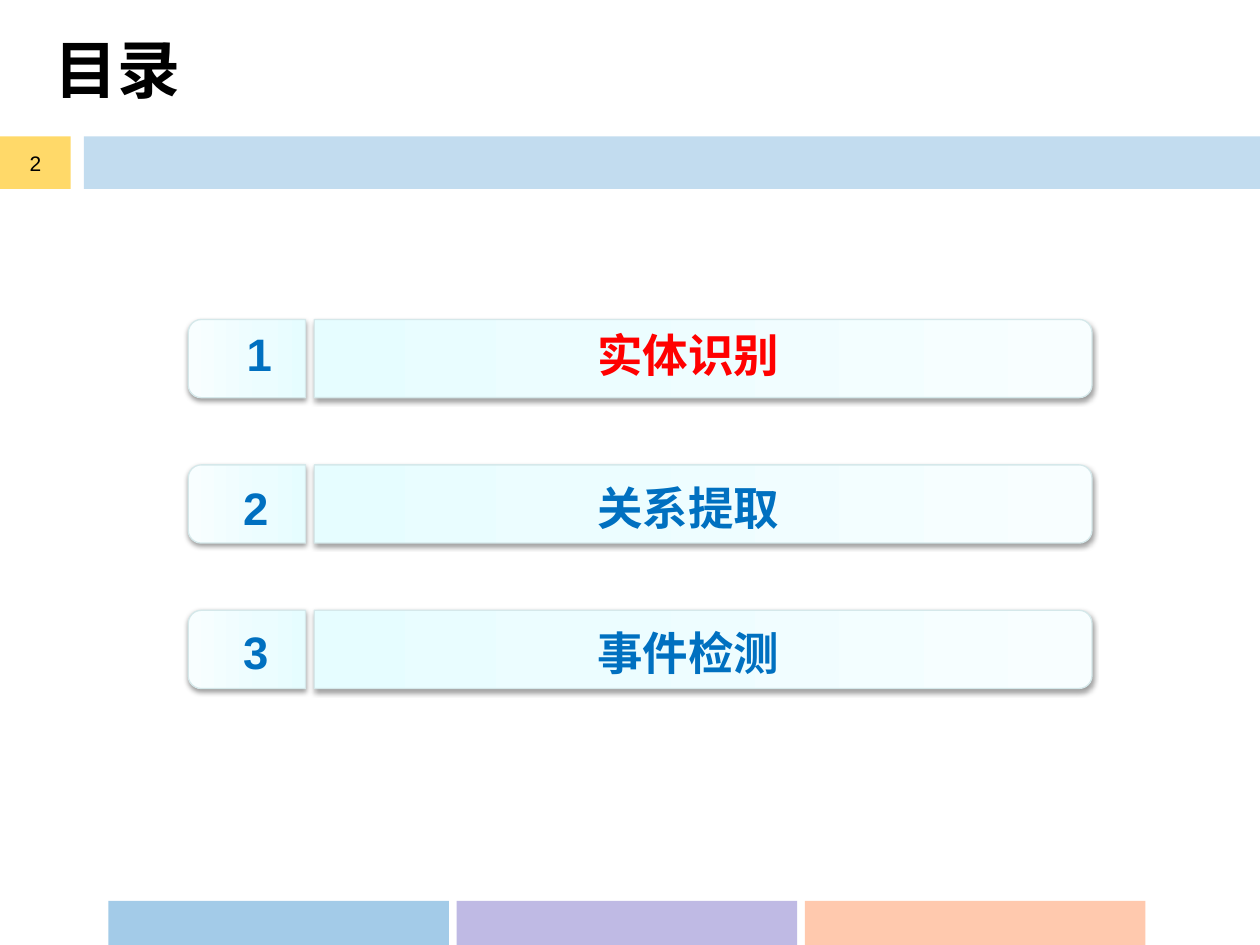
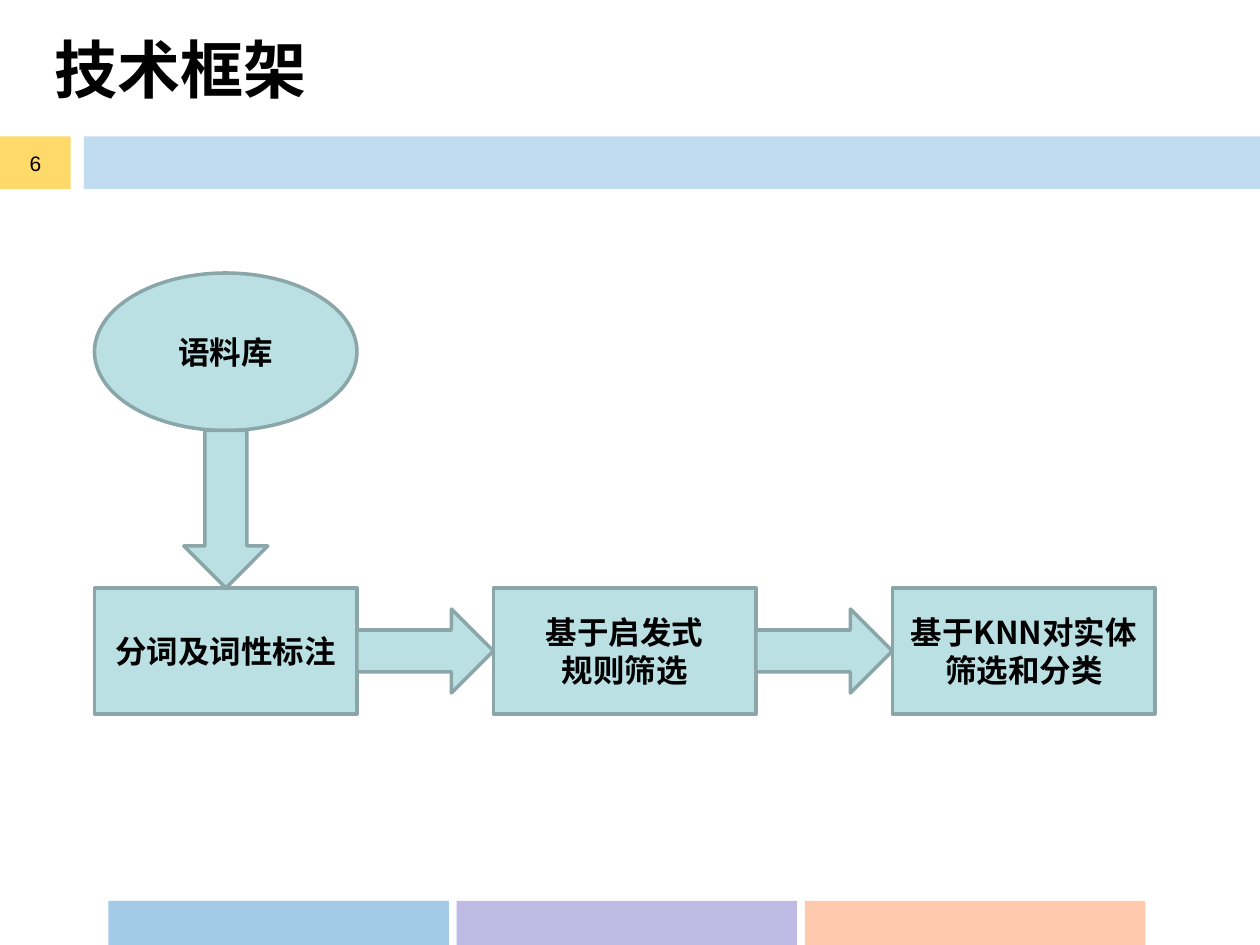
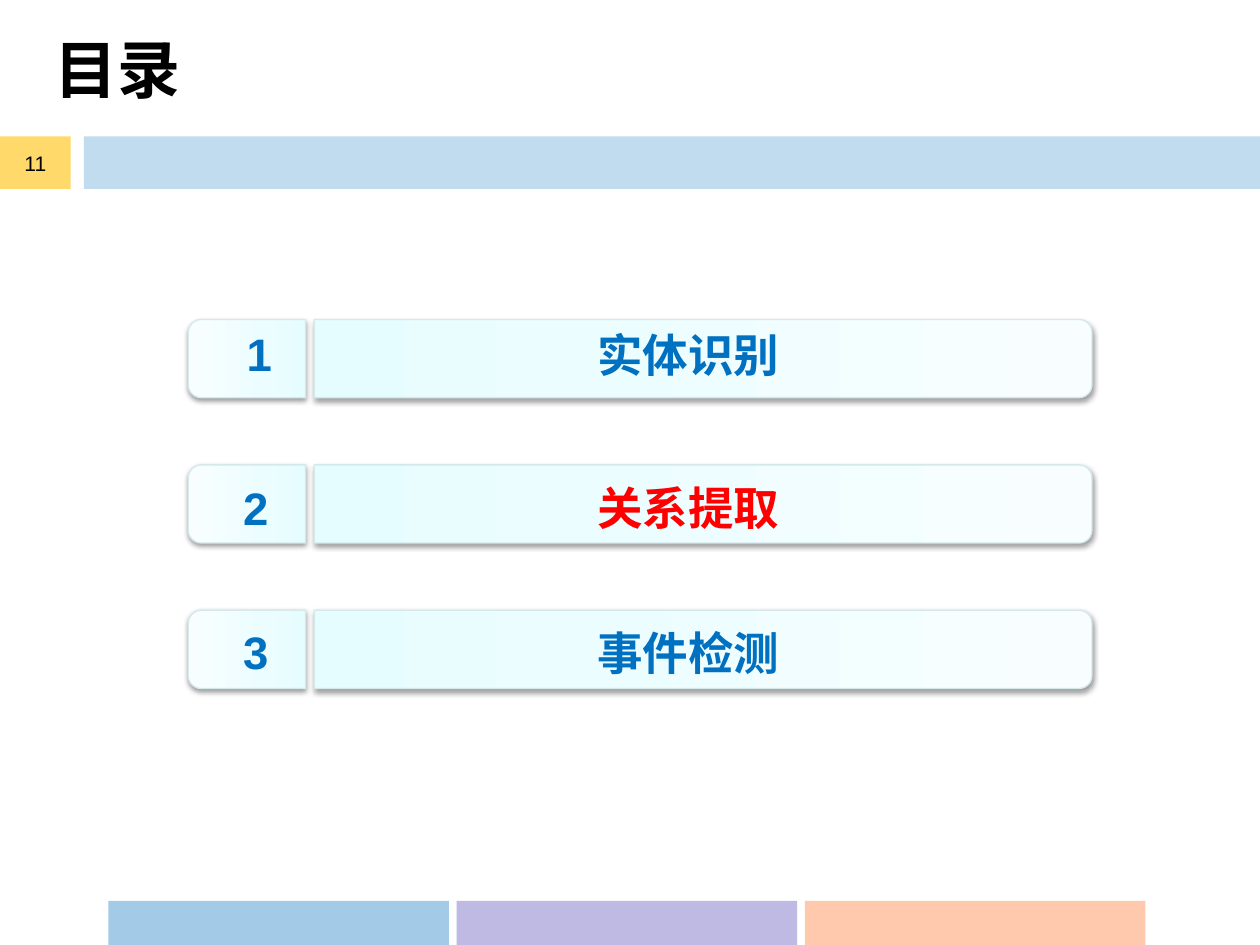
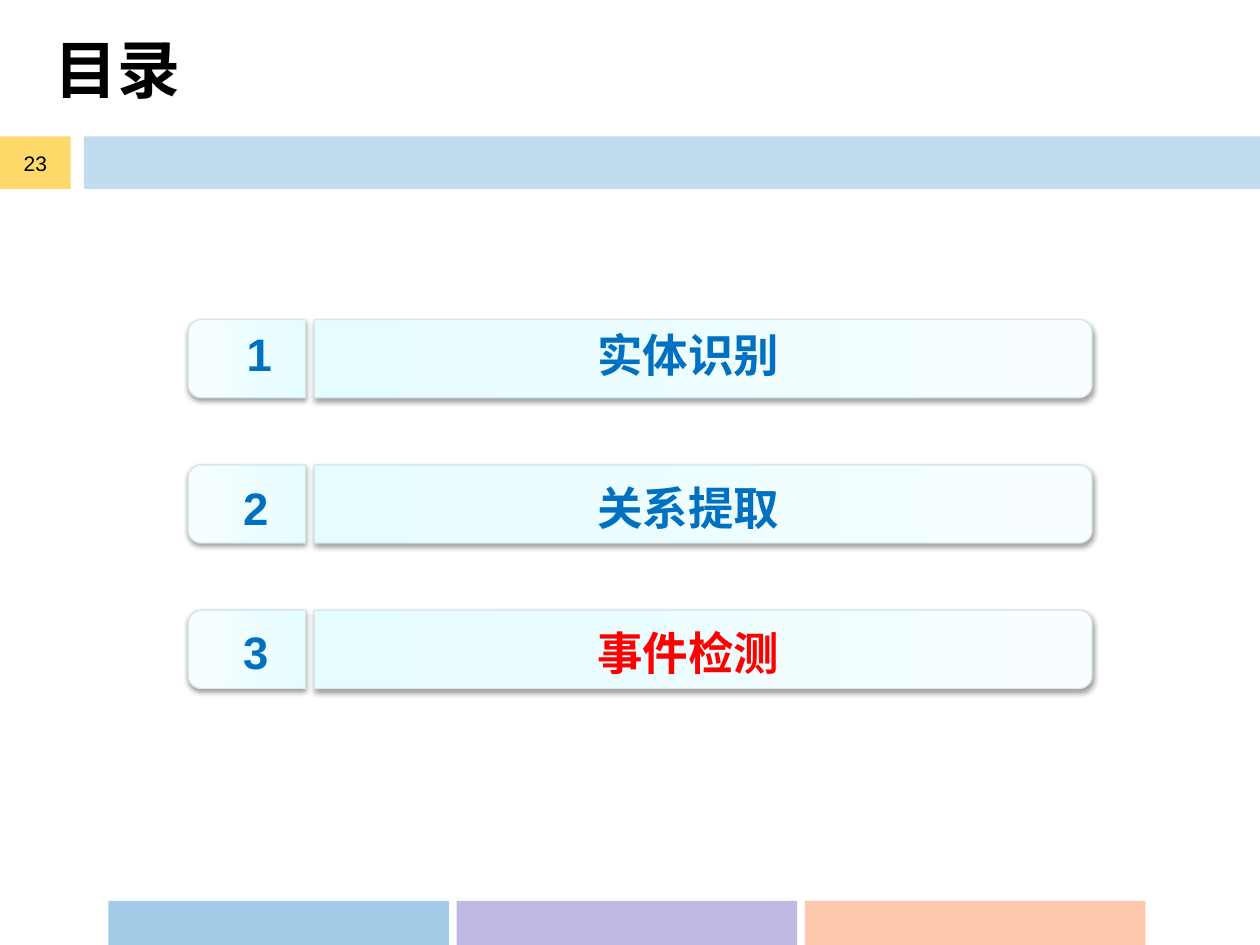
from copy import deepcopy
from dataclasses import dataclass

from lxml import etree
from pptx import Presentation
from pptx.dml.color import RGBColor
from pptx.enum.shapes import MSO_SHAPE, PP_PLACEHOLDER
from pptx.enum.text import MSO_ANCHOR, MSO_AUTO_SIZE, PP_ALIGN
from pptx.oxml.ns import qn
from pptx.util import Pt

RECTANGLE = MSO_SHAPE.RECTANGLE
OVAL = MSO_SHAPE.OVAL
ARROW = MSO_SHAPE.RIGHT_ARROW
ROUND_TOP = MSO_SHAPE.ROUND_2_SAME_RECTANGLE
TITLE = PP_PLACEHOLDER.TITLE
MIDDLE, TOP = MSO_ANCHOR.MIDDLE, MSO_ANCHOR.TOP
LEFT, CENTER = PP_ALIGN.LEFT, PP_ALIGN.CENTER
GROW = MSO_AUTO_SIZE.SHAPE_TO_FIT_TEXT


@dataclass(frozen=True)
class Theme:
    black: str = "000000"
    blue: str = "0070C0"
    red: str = "FF0000"
    orange: str = "FF9966"
    lilac: str = "BFBAE4"
    gold: str = "FFC000"
    flow_fill: str = "BBE0E3"
    flow_line: str = "8AA6A8"
    row_line: str = "D5E8EA"
    row_stops: tuple = ((0, "E6FDFF"), (0.35, "ECFDFF"), (1, "F8FEFF"))
    title_font: str = "Times New Roman"
    text_font: str = "Arial"
    chinese_font: str = "Noto Sans CJK SC"
    title_size: float = 36
    row_size: float = 26
    flow_size: float = 18
    number_size: float = 12
    flow_spacing: float = 21.7


theme = Theme()


def add_block(slide, kind, place, color, opacity=100, line=None):
    """Add a flat shape, see-through when opacity is below 100."""
    block = slide.shapes.add_shape(kind, *(Pt(length) for length in place))
    block.shadow.inherit = False
    block.fill.solid()
    block.fill.fore_color.rgb = RGBColor.from_string(color)
    if opacity < 100:
        tint = next(block.element.spPr.iter(qn("a:srgbClr")))
        etree.SubElement(tint, qn("a:alpha"), val=str(opacity * 1000))
    if line:
        block.line.color.rgb = RGBColor.from_string(line)
        block.line.width = Pt(2)
    else:
        block.line.fill.background()
    return block


def write(box, text, font, size, color=theme.black, bold=True, align=CENTER, anchor=MIDDLE, spacing=None):
    """Fill a box with text, one paragraph a line, in one style."""
    frame = box.text_frame
    frame.text = text
    frame.word_wrap = True
    frame.vertical_anchor = anchor
    for para in frame.paragraphs:
        para.alignment = align
        if spacing:
            para.line_spacing = Pt(spacing)
        para.font.size = Pt(size)
        para.font.bold = bold
        para.font.color.rgb = RGBColor.from_string(color)
        para.font.name = font
    for style in box.element.iter(qn("a:defRPr")):
        etree.SubElement(style, qn("a:ea"), typeface=theme.chinese_font)


deck = Presentation()
deck.slide_width, deck.slide_height = Pt(720), Pt(540)

# Shared layout: title place
layout = deck.slide_layouts[5]
for holder in list(layout.placeholders):
    if holder.placeholder_format.type == TITLE:
        holder.left, holder.top, holder.width, holder.height = Pt(23.8), Pt(-5.8), Pt(676), Pt(90)
    else:
        layout.shapes.element.remove(holder.element)

# Slides with title and page number
pages = []
for title, number in (("目录", 2), ("技术框架", 6), ("目录", 11), ("目录", 23)):
    page = deck.slides.add_slide(layout)
    write(page.shapes.title, title, theme.title_font, theme.title_size, align=LEFT)
    pages.append(page)

# Shared layout: header band and footer blocks, drawn once and moved to the layout
bands = [add_block(pages[0], RECTANGLE, (48, 78, 672, 30), theme.blue, 24)]
for column, (color, opacity) in enumerate(((theme.blue, 36), (theme.lilac, 100), (theme.orange, 53))):
    bands.append(add_block(pages[0], RECTANGLE, (62 + 199 * column, 514.8, 194.5, 25.2), color, opacity))
for band in bands:
    layout.shapes.element.append(band.element)

for page, number in zip(pages, (2, 6, 11, 23)):
    badge = add_block(page, RECTANGLE, (0, 78, 40.4, 30), theme.gold, 59)
    write(badge, str(number), theme.text_font, theme.number_size, bold=False)

# Contents slides: three rows, the current one in red
contents_rows = (
    # label, text top, label left and width, number left and width
    ("实体识别", 182.9, 293.8, 199.4, 133.9, 24.5),
    ("关系提取", 270, 242, 303, 131.8, 28),
    ("事件检测", 352.8, 242, 303, 131.8, 28),
)
row_thickness = 44.7
for current, page in enumerate((pages[0], pages[2], pages[3])):
    for row, (label, text_top, label_left, label_width, number_left, number_width) in enumerate(contents_rows):
        row_middle = 204.9 + 83.1 * row

        # Number tab and label bar, turned so that the rounded ends face outwards
        for center, length, flipped in ((141.1, 67, False), (401.8, 444.4, True)):
            place = (center - row_thickness / 2, row_middle - length / 2, row_thickness, length)
            panel = add_block(page, ROUND_TOP, place, theme.row_stops[0][1], line=theme.row_line)
            panel.rotation = 270
            if flipped:
                panel.element.spPr.xfrm.set("flipV", "1")
            panel.line.width = Pt(0.75)
            panel.fill.gradient()
            panel.fill.gradient_angle = 90
            stop_list = next(panel.element.spPr.iter(qn("a:gsLst")))
            stop_list.insert(1, deepcopy(stop_list[0]))
            for stop, (position, color) in zip(panel.fill.gradient_stops, theme.row_stops):
                stop.position = position
                stop.color.rgb = RGBColor.from_string(color)
            effects = panel.element.spPr.find(qn("a:effectLst"))
            shadow = etree.SubElement(effects, qn("a:outerShdw"), blurRad=str(Pt(3.1)), dist=str(Pt(1.6)),
                                      dir="5400000", rotWithShape="0")
            tint = etree.SubElement(shadow, qn("a:srgbClr"), val=theme.black)
            etree.SubElement(tint, qn("a:alpha"), val="38000")

        # Label and number
        label_box = page.shapes.add_textbox(Pt(label_left), Pt(text_top), Pt(label_width), Pt(39.6))
        label_color = theme.red if row == current else theme.blue
        write(label_box, label, theme.text_font, theme.row_size, label_color)
        number_box = page.shapes.add_textbox(Pt(number_left), Pt(text_top), Pt(number_width), Pt(39.2))
        write(number_box, str(row + 1), theme.text_font, theme.row_size, theme.blue,
              anchor=MIDDLE if row else TOP)
        if row == 0:
            number_box.text_frame.word_wrap = False
            number_box.text_frame.auto_size = GROW

# Framework slide: corpus, then three steps from left to right
flow_page = pages[1]
step_left, step_pitch, step_width = 54, 228, 150
steps = [(OVAL, (step_left, 156, step_width, 90), "语料库")]
for column, text in enumerate(("分词及词性标注", "基于启发式\n规则筛选", "基于KNN对实体筛选和分类")):
    steps.append((RECTANGLE, (step_left + step_pitch * column, 336, step_width, 72), text))
for kind, place, text in steps:
    step = add_block(flow_page, kind, place, theme.flow_fill, line=theme.flow_line)
    write(step, text, theme.chinese_font, theme.flow_size, spacing=theme.flow_spacing)

for column in range(2):
    arrow_left = step_left + step_width + step_pitch * column
    add_block(flow_page, ARROW, (arrow_left, 348, step_pitch - step_width, 48), theme.flow_fill, line=theme.flow_line)
down_arrow = add_block(flow_page, ARROW, (84, 267, 90, 48), theme.flow_fill, line=theme.flow_line)
down_arrow.rotation = 90

deck.save("out.pptx")
